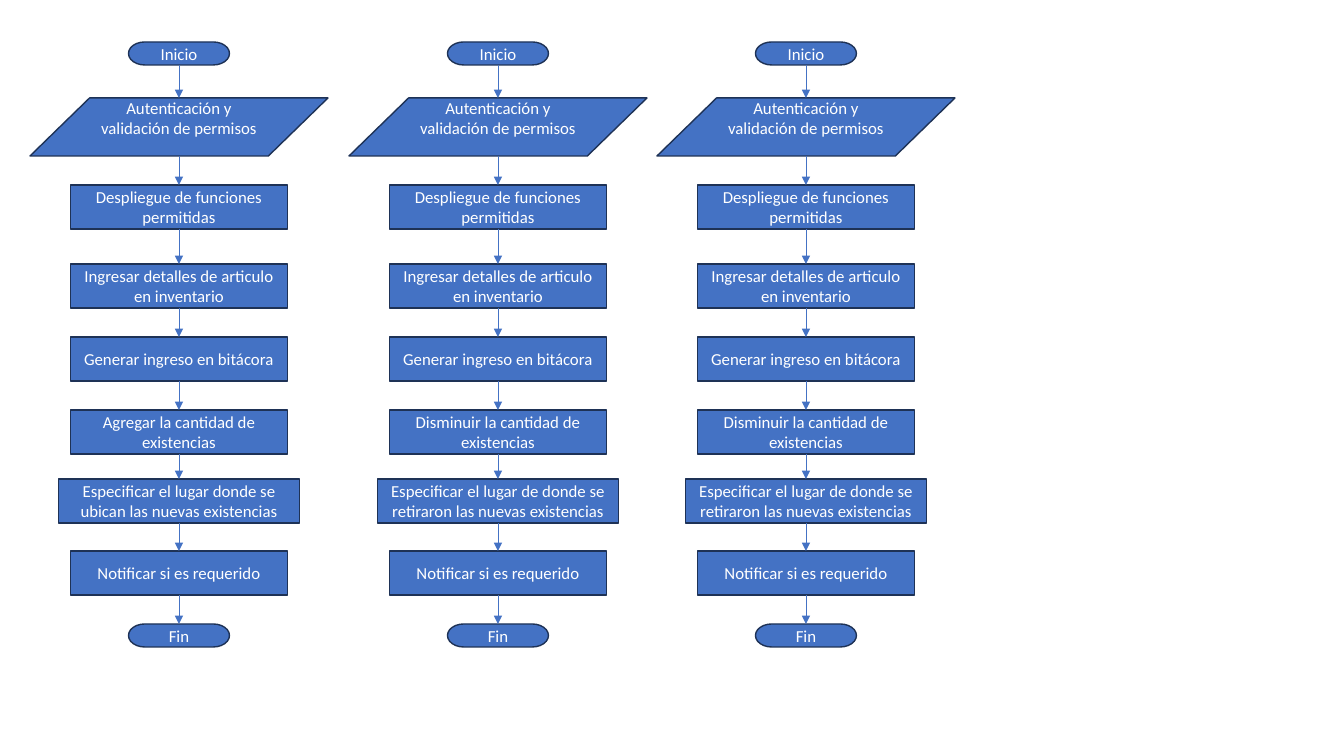
"""Builds a slide with three inventory flowcharts side by side."""
import itertools

import lxml.etree
import pptx
import pptx.dml.color
import pptx.enum.shapes
import pptx.enum.text
import pptx.oxml.ns
import pptx.util

SCALE = 12192000 / 1344
BLUE = pptx.dml.color.RGBColor(0x44, 0x72, 0xC4)
NAVY = pptx.dml.color.RGBColor(0x1E, 0x32, 0x56)
WHITE = pptx.dml.color.RGBColor(0xFF, 0xFF, 0xFF)

SHAPES = pptx.enum.shapes.MSO_SHAPE
TERMINATOR = SHAPES.FLOWCHART_TERMINATOR
PROCESS = SHAPES.FLOWCHART_PROCESS
DATA = SHAPES.FLOWCHART_DATA

STEPS = [
    (TERMINATOR, 42, 101, 23),
    (DATA, 98, 298, 58),
    (PROCESS, 185, 217, 44),
    (PROCESS, 264, 217, 44),
    (PROCESS, 337, 217, 44),
    (PROCESS, 410, 217, 44),
    (PROCESS, 479, 241, 44),
    (PROCESS, 551, 217, 44),
    (TERMINATOR, 624, 101, 23),
]
WITHDRAWAL = (
    "Disminuir la cantidad de existencias",
    "Especificar el lugar de donde se retiraron las nuevas existencias",
)
FLOWS = [
    (179, (
        "Agregar la cantidad de existencias",
        "Especificar el lugar donde se ubican las nuevas existencias",
    )),
    (498, WITHDRAWAL),
    (806, WITHDRAWAL),
]


def px(length):
    """Turn a length in pixels into EMU."""
    return pptx.util.Emu(round(length * SCALE))


def add_step(page, kind, centre, top, width, height, text):
    """Add one flowchart symbol centred on its column."""
    box = page.shapes.add_shape(
        kind, px(centre - width / 2), px(top), px(width), px(height))
    box.shadow.inherit = False
    box.fill.solid()
    box.fill.fore_color.rgb = BLUE
    box.line.color.rgb = NAVY
    box.line.width = pptx.util.Pt(1)
    frame = box.text_frame
    frame.word_wrap = True
    frame.vertical_anchor = pptx.enum.text.MSO_ANCHOR.MIDDLE
    if kind == DATA:
        frame.margin_top = px(0)
        frame.margin_bottom = px(18)
    para = frame.paragraphs[0]
    para.text = text
    para.alignment = pptx.enum.text.PP_ALIGN.CENTER
    para.font.name = "Calibri"
    para.font.size = pptx.util.Pt(12)
    para.font.color.rgb = WHITE
    return box


def add_arrow(page, upper, lower):
    """Add an arrow from the bottom of one step to the top of the next."""
    middle = upper.left + upper.width // 2
    arrow = page.shapes.add_connector(
        pptx.enum.shapes.MSO_CONNECTOR.STRAIGHT,
        middle, upper.top + upper.height, middle, lower.top)
    if upper.auto_shape_type != DATA:
        arrow.begin_connect(upper, 2)
    if lower.auto_shape_type != DATA:
        arrow.end_connect(lower, 0)
    arrow.line.color.rgb = BLUE
    arrow.line.width = pptx.util.Pt(0.5)
    qualified = pptx.oxml.ns.qn
    lxml.etree.SubElement(
        arrow.line._get_or_add_ln(), qualified("a:tailEnd"), type="triangle")
    lxml.etree.SubElement(arrow._element.spPr, qualified("a:effectLst"))


def add_flow(page, centre, stock_texts):
    """Add one column of steps joined by arrows."""
    texts = [
        "Inicio",
        "Autenticación y validación de permisos",
        "Despliegue de funciones permitidas",
        "Ingresar detalles de articulo en inventario",
        "Generar ingreso en bitácora",
        *stock_texts,
        "Notificar si es requerido",
        "Fin",
    ]
    boxes = [
        add_step(page, kind, centre, top, width, height, text)
        for (kind, top, width, height), text in zip(STEPS, texts)
    ]
    for upper, lower in itertools.pairwise(boxes):
        add_arrow(page, upper, lower)


def main():
    """Build the deck and save it."""
    deck = pptx.Presentation()
    deck.slide_width = px(1344)
    deck.slide_height = px(756)
    page = deck.slides.add_slide(deck.slide_layouts[6])
    for centre, stock_texts in FLOWS:
        add_flow(page, centre, stock_texts)
    deck.save("out.pptx")


if __name__ == "__main__":
    main()
